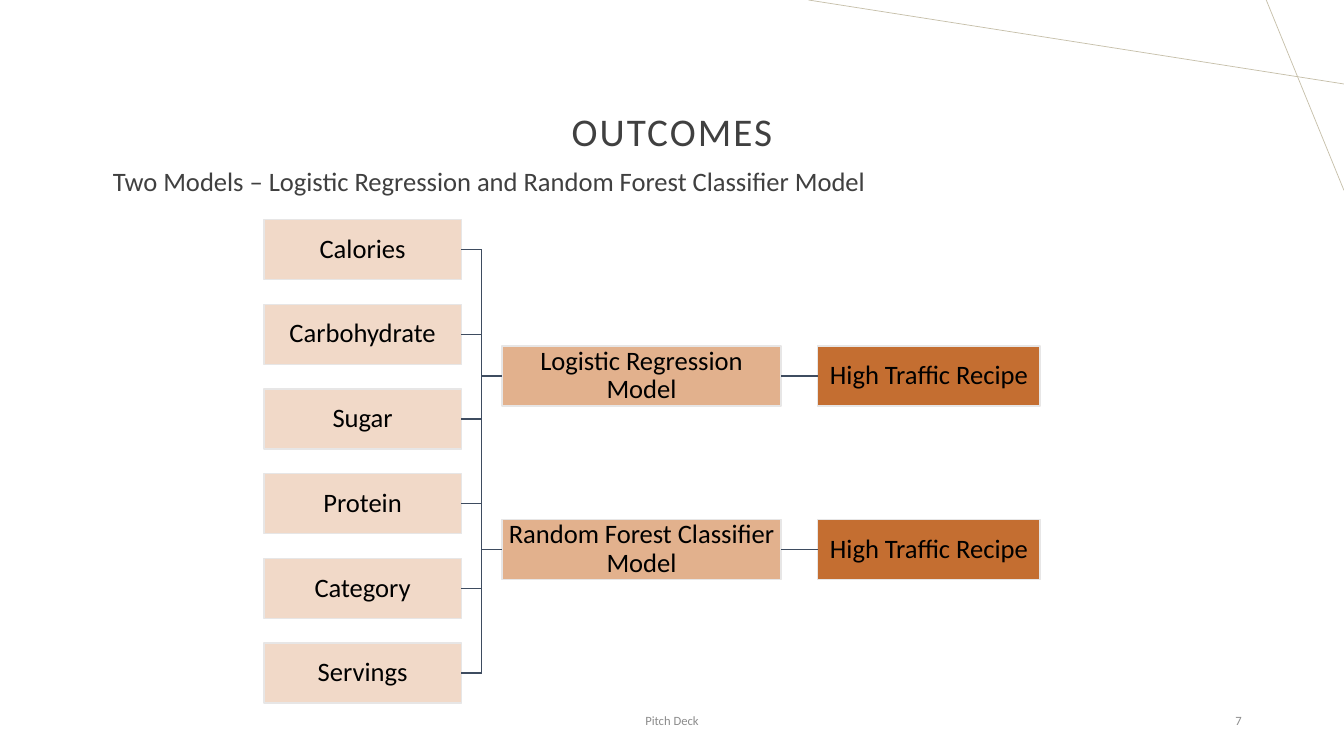
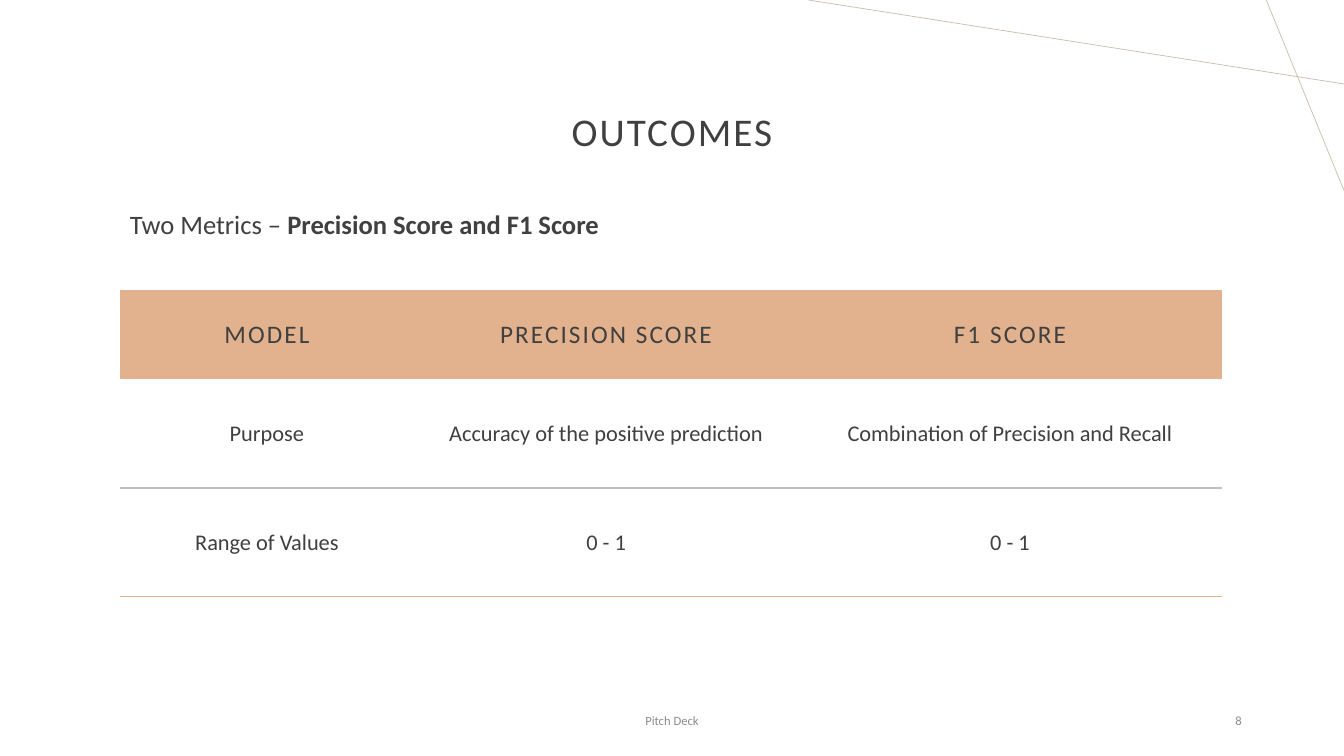
from lxml import etree
from pptx import Presentation
from pptx.dml.color import RGBColor
from pptx.enum.shapes import MSO_CONNECTOR as Connector, MSO_SHAPE as Shape
from pptx.enum.text import MSO_ANCHOR as Anchor, PP_ALIGN as Align
from pptx.oxml.ns import qn
from pptx.util import Pt

FONT = "Calibri"
BLACK = RGBColor(0x00, 0x00, 0x00)
INK = RGBColor(0x40, 0x40, 0x40)
FOOTER_GREY = RGBColor(0x8C, 0x8C, 0x8C)
RULE_GREY = RGBColor(0xBF, 0xBF, 0xBF)
SAND = RGBColor(0xC6, 0xBF, 0xA9)
OUTLINE = RGBColor(0xE7, 0xE6, 0xE6)
SLATE = RGBColor(0x3E, 0x4C, 0x60)
CREAM = RGBColor(0xF1, 0xD9, 0xC8)
PEACH = RGBColor(0xE2, 0xB1, 0x8D)
RUST = RGBColor(0xC4, 0x6E, 0x31)

SLIDE_WIDTH, SLIDE_HEIGHT = 960, 540
CORNER_LINES = [(960, 60, 577.5, 0), (904.5, 0, 960, 136)]
LETTER_SPACING = 1.5
NO_TABLE_STYLE = "{2D5ABB26-0587-4C30-8999-92F81FD0307C}"

TITLE = "OUTCOMES"
FOOTER = "Pitch Deck"

MODELS_LEAD = [("Two Models – Logistic Regression and Random Forest Classifier Model", False)]
FEATURES = ["Calories", "Carbohydrate", "Sugar", "Protein", "Category", "Servings"]
MODELS = ["Logistic Regression Model", "Random Forest Classifier Model"]
OUTCOME = "High Traffic Recipe"

METRICS_LEAD = [("Two Metrics – ", False), ("Precision Score and F1 Score", True)]
METRICS = [
    ["MODEL", "PRECISION SCORE", "F1 SCORE"],
    ["Purpose", "Accuracy of the positive prediction", "Combination of Precision and Recall"],
    ["Range of Values", "0 - 1", "0 - 1"],
]
COLUMN_WIDTHS = [210, 274.5, 302.5]
ROW_HEIGHTS = [63.4, 77.8, 77.8]
ROW_RULES = [None, RULE_GREY, PEACH]

# Diagram columns as (left, width); rows as (first top, step)
FEATURE_COLUMN, MODEL_COLUMN, OUTCOME_COLUMN = (188.5, 141), (358.5, 199.5), (584, 159)
FEATURE_ROWS, MODEL_ROWS = (156.8, 60.5), (247, 124)
BOX_HEIGHT = 43
LEFT_SITE, RIGHT_SITE = 1, 3


def write(text_frame, runs, size, color, align, line_spacing=1.0, letter_spacing=0):
    """Fill the first paragraph with (text, bold) runs."""
    text_frame.word_wrap = True
    paragraph = text_frame.paragraphs[0]
    paragraph.alignment = align
    paragraph.line_spacing = line_spacing
    font = paragraph.font
    font.name, font.size, font.color.rgb = FONT, Pt(size), color
    for text, bold in runs:
        run = paragraph.add_run()
        run.text = text
        if bold:
            run.font.bold = True
        if letter_spacing:
            run._r.get_or_add_rPr().set("spc", str(int(letter_spacing * 100)))
    return paragraph


def add_text(slide, box, runs, size, color, align, anchor=Anchor.MIDDLE, **spacing):
    text_frame = slide.shapes.add_textbox(*map(Pt, box)).text_frame
    text_frame.vertical_anchor = anchor
    return write(text_frame, runs, size, color, align, **spacing)


def add_line(slide, kind, ends, color, width):
    line = slide.shapes.add_connector(kind, *map(Pt, ends))
    line.line.color.rgb = color
    line.line.width = Pt(width)
    etree.SubElement(line._element.spPr, qn("a:effectLst"))
    return line


def link(slide, kind, source, target):
    """Join the right side of source to the left side of target."""
    line = add_line(slide, kind, (0, 0, 0, 0), SLATE, 1)
    line.begin_connect(source, RIGHT_SITE)
    line.end_connect(target, LEFT_SITE)


def add_box(slide, text, column, top, fill):
    left, width = column
    box = slide.shapes.add_shape(Shape.RECTANGLE, Pt(left), Pt(top), Pt(width), Pt(BOX_HEIGHT))
    box.shadow.inherit = False
    box.fill.solid()
    box.fill.fore_color.rgb = fill
    box.line.color.rgb = OUTLINE
    box.line.width = Pt(1)
    frame = box.text_frame
    frame.margin_left = frame.margin_right = frame.margin_top = frame.margin_bottom = Pt(1)
    frame.vertical_anchor = Anchor.MIDDLE
    write(frame, [(text, False)], 19, BLACK, Align.CENTER, line_spacing=0.9)
    return box


def add_box_column(slide, texts, column, rows, fill):
    first_top, step = rows
    return [add_box(slide, text, column, first_top + index * step, fill)
            for index, text in enumerate(texts)]


def add_outcomes_slide(presentation, number, lead, lead_left, lead_top):
    """Add a slide with the shared title, corner lines and footer, plus its lead sentence."""
    slide = presentation.slides.add_slide(presentation.slide_layouts[6])
    for ends in CORNER_LINES:
        add_line(slide, Connector.STRAIGHT, ends, SAND, 0.5)
    add_text(slide, (148.5, 43, 663, 104.5), [(TITLE, False)], 28, INK, Align.CENTER,
             line_spacing=0.9, letter_spacing=LETTER_SPACING)
    add_text(slide, (318, 500.5, 324, 28.8), [(FOOTER, False)], 9, FOOTER_GREY, Align.CENTER)
    add_text(slide, (678, 500.5, 216, 28.8), [(str(number), False)], 9, FOOTER_GREY, Align.RIGHT)
    paragraph = add_text(slide, (lead_left, lead_top, 685, 39), lead, 19, INK, Align.LEFT,
                         Anchor.TOP, line_spacing=0.9)
    paragraph.space_before = Pt(10)
    return slide


def add_model_diagram(slide):
    features = add_box_column(slide, FEATURES, FEATURE_COLUMN, FEATURE_ROWS, CREAM)
    models = add_box_column(slide, MODELS, MODEL_COLUMN, MODEL_ROWS, PEACH)
    outcomes = add_box_column(slide, [OUTCOME] * len(MODELS), OUTCOME_COLUMN, MODEL_ROWS, RUST)
    for model, outcome in zip(models, outcomes):
        for feature in features:
            link(slide, Connector.ELBOW, feature, model)
        link(slide, Connector.STRAIGHT, model, outcome)


def set_bottom_border(cell, color):
    border = etree.Element(qn("a:lnB"), w=str(Pt(1)))
    fill = etree.SubElement(border, qn("a:solidFill"))
    etree.SubElement(fill, qn("a:srgbClr"), val=str(color))
    cell._tc.get_or_add_tcPr().insert(0, border)


def add_metrics_table(slide):
    frame = slide.shapes.add_table(len(METRICS), len(COLUMN_WIDTHS), Pt(85.7), Pt(207.4),
                                   Pt(sum(COLUMN_WIDTHS)), Pt(sum(ROW_HEIGHTS)))
    table = frame.table
    table.horz_banding = False
    table._tbl.tblPr.find(qn("a:tableStyleId")).text = NO_TABLE_STYLE
    for column, width in zip(table.columns, COLUMN_WIDTHS):
        column.width = Pt(width)
    for row_index, (texts, height, rule) in enumerate(zip(METRICS, ROW_HEIGHTS, ROW_RULES)):
        is_header = row_index == 0
        table.rows[row_index].height = Pt(height)
        for cell, text in zip(table.rows[row_index].cells, texts):
            cell.vertical_anchor = Anchor.MIDDLE
            write(cell.text_frame, [(text, False)], 18 if is_header else 16, INK, Align.CENTER,
                  letter_spacing=LETTER_SPACING if is_header else 0)
            if is_header:
                cell.fill.solid()
                cell.fill.fore_color.rgb = PEACH
            else:
                cell.fill.background()
                set_bottom_border(cell, rule)


def main():
    presentation = Presentation()
    presentation.slide_width, presentation.slide_height = Pt(SLIDE_WIDTH), Pt(SLIDE_HEIGHT)
    add_model_diagram(add_outcomes_slide(presentation, 7, MODELS_LEAD, 73.5, 116.6))
    add_metrics_table(add_outcomes_slide(presentation, 8, METRICS_LEAD, 85.7, 147.6))
    presentation.save("out.pptx")


if __name__ == "__main__":
    main()
